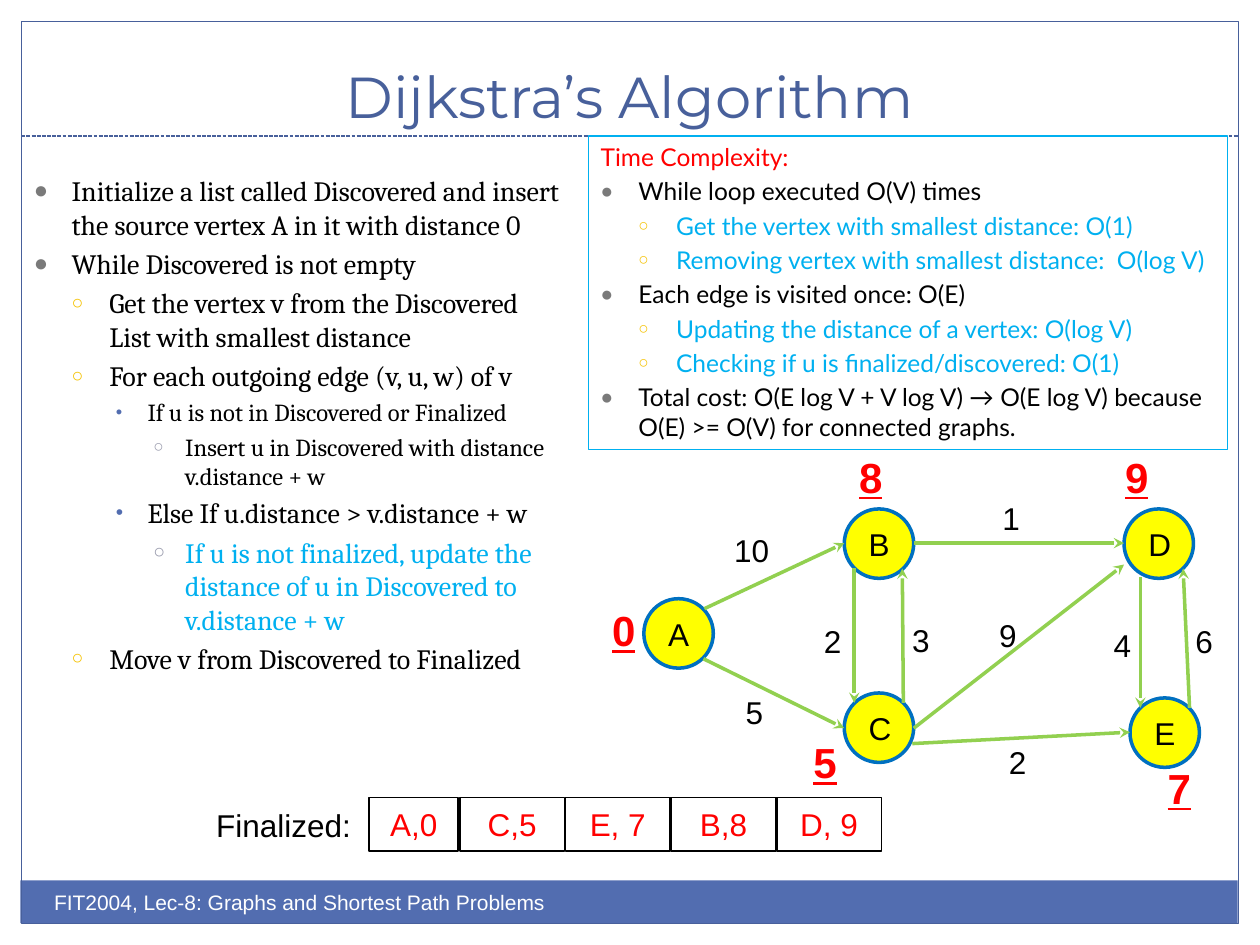
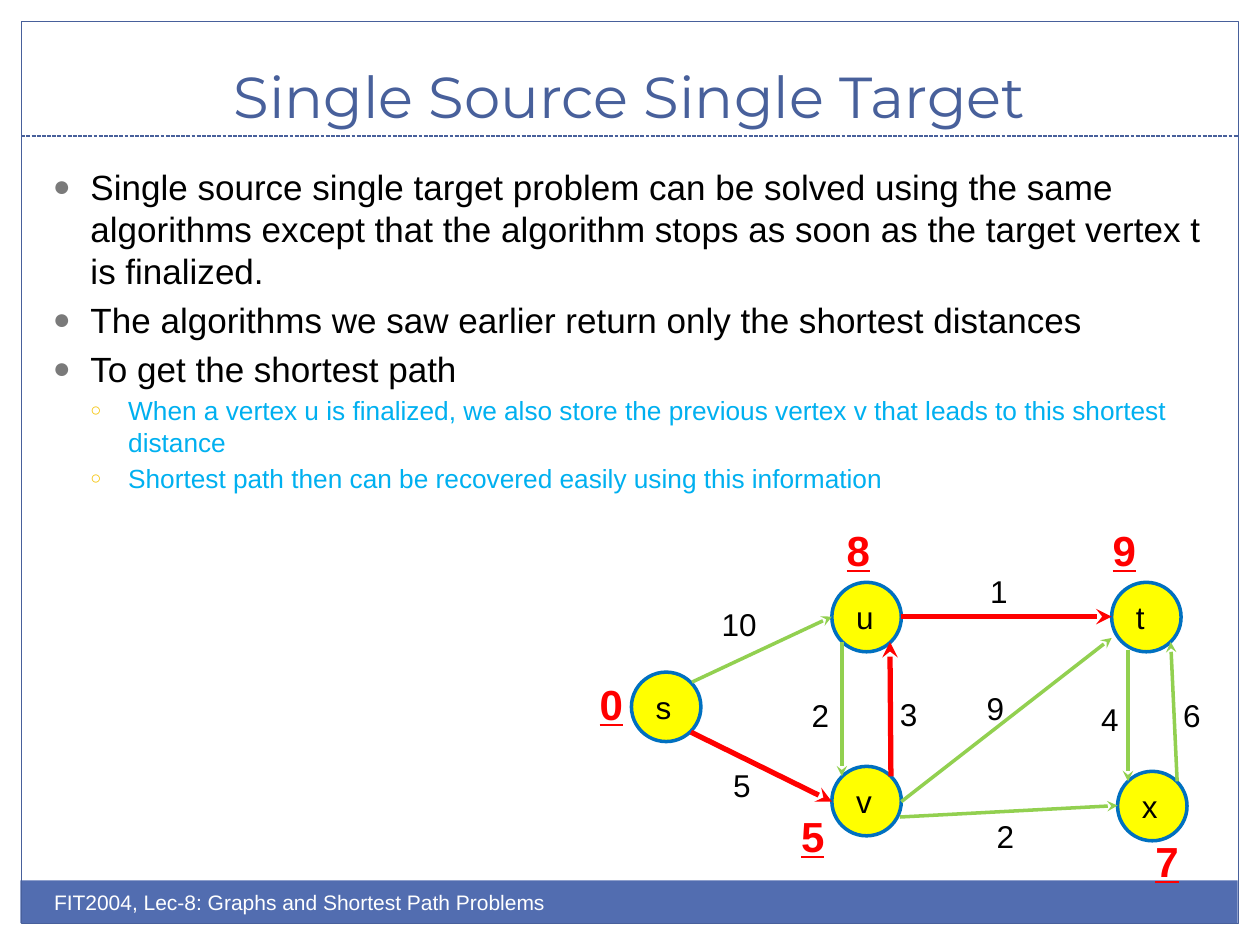
from lxml.etree import SubElement
from pptx import Presentation
from pptx.dml.color import RGBColor
from pptx.enum.dml import MSO_LINE
from pptx.enum.shapes import MSO_CONNECTOR, MSO_SHAPE
from pptx.enum.text import MSO_ANCHOR, MSO_AUTO_SIZE, PP_ALIGN
from pptx.oxml.ns import qn
from pptx.util import Cm, Pt

NAVY = RGBColor(0x48, 0x60, 0x9B)
BAND = RGBColor(0x52, 0x6D, 0xB0)
SKY = RGBColor(0x00, 0xB0, 0xF0)
RING = RGBColor(0x00, 0x70, 0xC0)
YELLOW = RGBColor(0xFF, 0xFF, 0x00)
GREEN = RGBColor(0x92, 0xD0, 0x50)
RED = RGBColor(0xFF, 0x00, 0x00)
BLACK = RGBColor(0x00, 0x00, 0x00)
WHITE = RGBColor(0xFF, 0xFF, 0xFF)

HEAD = {"name": "Montserrat", "size": Pt(33), "color": NAVY}
FOOT = {"name": "Arial", "size": Pt(12), "color": WHITE}
PLAIN = {"name": "Arial", "size": Pt(18), "color": BLACK}
CELL = PLAIN | {"color": RED}
DIST = CELL | {"size": Pt(24), "bold": True, "underline": True}

BULLETS = [
    ("●", "7A7A7A", 85, 0.76, 0.76),
    ("○", "F5C201", 70, 1.52, 0.76),
    ("•", "526DB0", 75, 2.29, 0.64),
    ("○", "989AAC", 70, 3.05, 0.64),
]

NODES = [(12.98, 12.07), (17.02, 10.26), (17.02, 13.97), (22.66, 10.26), (22.78, 14.07)]
EDGES = {
    "AB": (14.2, 12.27, 17.02, 10.95),
    "AC": (14.18, 13.28, 17.02, 14.68),
    "BC": (17.22, 11.46, 17.22, 14.17),
    "BD": (18.42, 10.95, 22.66, 10.95),
    "DE": (22.99, 11.63, 22.99, 14.27),
    "ED": (23.98, 14.27, 23.85, 11.46),
    "CD": (18.42, 14.68, 22.66, 11.38),
    "CB": (18.21, 14.17, 18.19, 11.46),
    "CE": (18.39, 14.99, 22.78, 14.76),
}
COSTS = [
    (14.55, 10.59, 1.22, "10"), (14.78, 13.84, 0.86, "5"), (16.36, 12.42, 0.86, "2"),
    (18.14, 12.4, 0.86, "3"), (19.96, 9.93, 0.86, "1"), (19.89, 12.29, 0.86, "9"),
    (20.09, 14.86, 0.86, "2"), (22.2, 12.5, 0.86, "4"), (23.85, 12.42, 0.86, "6"),
]
TOTALS = [
    (12.09, 12.07, "0"), (16.15, 14.73, "5"), (17.07, 8.97, "8"),
    (22.43, 8.97, "9"), (23.29, 15.24, "7"),
]

STEPS = [
    (0, 16, BLACK, "Initialize a list called Discovered and insert the source vertex A in it with distance 0"),
    (0, 16, BLACK, "While Discovered is not empty"),
    (1, 16, BLACK, "Get the vertex v from the Discovered List with smallest distance"),
    (1, 16, BLACK, "For each outgoing edge (v, u, w) of v"),
    (2, 14, BLACK, "If u is not in Discovered or Finalized"),
    (3, 14, BLACK, "Insert u in Discovered with distance v.distance + w"),
    (2, 16, BLACK, "Else If u.distance > v.distance + w"),
    (3, 16, SKY, "If u is not finalized, update the distance of u in Discovered to v.distance + w"),
    (1, 16, BLACK, "Move v from Discovered to Finalized"),
]
TIMES = [
    (None, 14, RED, "Time Complexity:"),
    (0, 14, BLACK, "While loop executed O(V) times"),
    (1, 14, SKY, "Get the vertex with smallest distance: O(1)"),
    (1, 14, SKY, "Removing vertex with smallest distance:  O(log V)"),
    (0, 14, BLACK, "Each edge is visited once: O(E)"),
    (1, 14, SKY, "Updating the distance of a vertex: O(log V)"),
    (1, 14, SKY, "Checking if u is finalized/discovered: O(1)"),
    (0, 14, BLACK, "Total cost: O(E log V + V log V) → O(E log V) because O(E) >= O(V) for connected graphs."),
]
NOTES = [
    (0, 20, BLACK, "Single source single target problem can be solved using the same algorithms except that the algorithm stops as soon as the target vertex t is finalized."),
    (0, 20, BLACK, "The algorithms we saw earlier return only the shortest distances"),
    (0, 20, BLACK, "To get the shortest path"),
    (1, 15, SKY, "When a vertex u is finalized, we also store the previous vertex v that leads to this shortest distance"),
    (1, 15, SKY, "Shortest path then can be recovered easily using this information"),
]


def write(par, words, form):
    run = par.add_run()
    run.text = words
    for key, val in form.items():
        if key == "color":
            run.font.color.rgb = val
        else:
            setattr(run.font, key, val)


def draw(slide, kind, spot, fill, line, width=1):
    spot = [Cm(v) for v in spot]
    if kind is MSO_CONNECTOR.STRAIGHT:
        shape = slide.shapes.add_connector(kind, *spot)
        SubElement(shape.element.spPr, qn("a:effectLst"))
    else:
        shape = slide.shapes.add_shape(kind, *spot)
        shape.shadow.inherit = False
        if fill is None:
            shape.fill.background()
        else:
            shape.fill.solid()
            shape.fill.fore_color.rgb = fill
    if line is None:
        shape.line.fill.background()
    else:
        shape.line.color.rgb = line
        shape.line.width = Pt(width)
    return shape


deck = Presentation()
deck.slide_width, deck.slide_height = Cm(25.4), Cm(19.05)
base = deck.slide_layouts[1]
first, second = [deck.slides.add_slide(base) for _ in range(2)]

band = draw(first, MSO_SHAPE.RECTANGLE, (0.41, 17.75, 24.54, 0.86), BAND, None)
frame = draw(first, MSO_SHAPE.RECTANGLE, (0.43, 0.43, 24.54, 18.19), None, NAVY, 0.75)
rule = draw(first, MSO_CONNECTOR.STRAIGHT, (0.43, 2.74, 24.97, 2.74), None, NAVY, 0.75)
rule.line.dash_style = MSO_LINE.SQUARE_DOT
for part in (band, frame, rule):
    base.shapes.element.append(part.element)

panel = draw(first, MSO_SHAPE.RECTANGLE, (11.86, 2.74, 12.88, 6.32), None, SKY, 0.75)
panel.text_frame.vertical_anchor = MSO_ANCHOR.TOP

PAGES = [
    (first, "Dijkstra’s Algorithm", (0.43, 3.38, 11.23, 9.96), 0, 0,
     [("A", 0.94), ("B", 0.94), ("C", 0.97), ("D", 0.97), ("E", 0.94)], []),
    (second, "Single Source Single Target", (0.81, 3.2, 23.67, 9.96), -0.25, 1.48,
     [("s", 0.84), ("u", 0.86), ("v", 0.84), ("t", 0.69), ("x", 0.84)], ["AC", "CB", "BD"]),
]

for slide, head, area, dx, dy, names, route in PAGES:
    for hold, spot in ((slide.shapes.title, (0.84, 0.64, 23.7, 2.11)), (slide.placeholders[1], area)):
        hold.left, hold.top, hold.width, hold.height = [Cm(v) for v in spot]
        hold.text_frame.auto_size = MSO_AUTO_SIZE.NONE
    title = slide.shapes.title.text_frame
    title.vertical_anchor = MSO_ANCHOR.BOTTOM
    title.paragraphs[0].alignment = PP_ALIGN.CENTER
    write(title.paragraphs[0], head, HEAD)
    slide.placeholders[1].text_frame.vertical_anchor = MSO_ANCHOR.TOP

    for x, y in NODES:
        draw(slide, MSO_SHAPE.OVAL, (x + dx, y + dy, 1.4, 1.4), YELLOW, RING, 2)
    for name, (x1, y1, x2, y2) in EDGES.items():
        hue, width = (RED, 3) if name in route else (GREEN, 2)
        ends = (x1 + dx, y1 + dy, x2 + dx, y2 + dy)
        edge = draw(slide, MSO_CONNECTOR.STRAIGHT, ends, None, hue, width)
        SubElement(edge.element.spPr.find(qn("a:ln")), qn("a:tailEnd"), type="stealth")

    labels = [(0.84, 17.81, 12.7, 1.02, "FIT2004, Lec-8: Graphs and Shortest Path Problems", FOOT)]
    for (x, y), (name, width) in zip(NODES, names):
        labels.append((x + dx + 0.24, y + dy + 0.2, width, 1.02, name, PLAIN))
    for x, y, width, cost in COSTS:
        labels.append((x + dx, y + dy, width, 1.02, cost, PLAIN))
    for x, y, total in TOTALS:
        labels.append((x + dx, y + dy, 0.99, 1.27, total, DIST))
    if slide is first:
        labels.append((4.11, 16.13, 3.25, 1.02, "Finalized:", PLAIN))
    for *spot, words, form in labels:
        text = slide.shapes.add_textbox(*[Cm(v) for v in spot]).text_frame
        text.word_wrap = form is FOOT
        if form is not FOOT:
            text.auto_size = MSO_AUTO_SIZE.SHAPE_TO_FIT_TEXT
        write(text.paragraphs[0], words, form)

for i, words in enumerate(["A,0", "C,5", "E, 7", "B,8", "D, 9"]):
    left, width = (7.14 + 2.13 * i, 2.11) if i else (7.44, 1.8)
    cell = draw(first, MSO_SHAPE.RECTANGLE, (left, 16.08, width, 1.07), None, BLACK)
    par = cell.text_frame.paragraphs[0]
    par.alignment = PP_ALIGN.CENTER
    write(par, words, CELL)

LISTS = [
    (first.placeholders[1], "Cambria", STEPS),
    (panel, "Lato", TIMES),
    (second.placeholders[1], "Arial", NOTES),
]
for hold, face, rows in LISTS:
    text = hold.text_frame
    for i, (level, size, hue, words) in enumerate(rows):
        par = text.add_paragraph() if i else text.paragraphs[0]
        par.alignment = PP_ALIGN.LEFT
        par.space_before = Pt(size * 0.2 if i else 0)
        if level is not None:
            par.level = level
            mark, tint, scale, left, hang = BULLETS[level]
            prop = par._p.get_or_add_pPr()
            prop.set("marL", str(Cm(left)))
            prop.set("indent", str(-Cm(hang)))
            SubElement(SubElement(prop, qn("a:buClr")), qn("a:srgbClr"), val=tint)
            SubElement(prop, qn("a:buSzPct"), val=str(scale * 1000))
            SubElement(prop, qn("a:buFont"), typeface="Arial")
            SubElement(prop, qn("a:buChar"), char=mark)
        write(par, words, {"name": face, "size": Pt(size), "color": hue})

deck.save("out.pptx")
